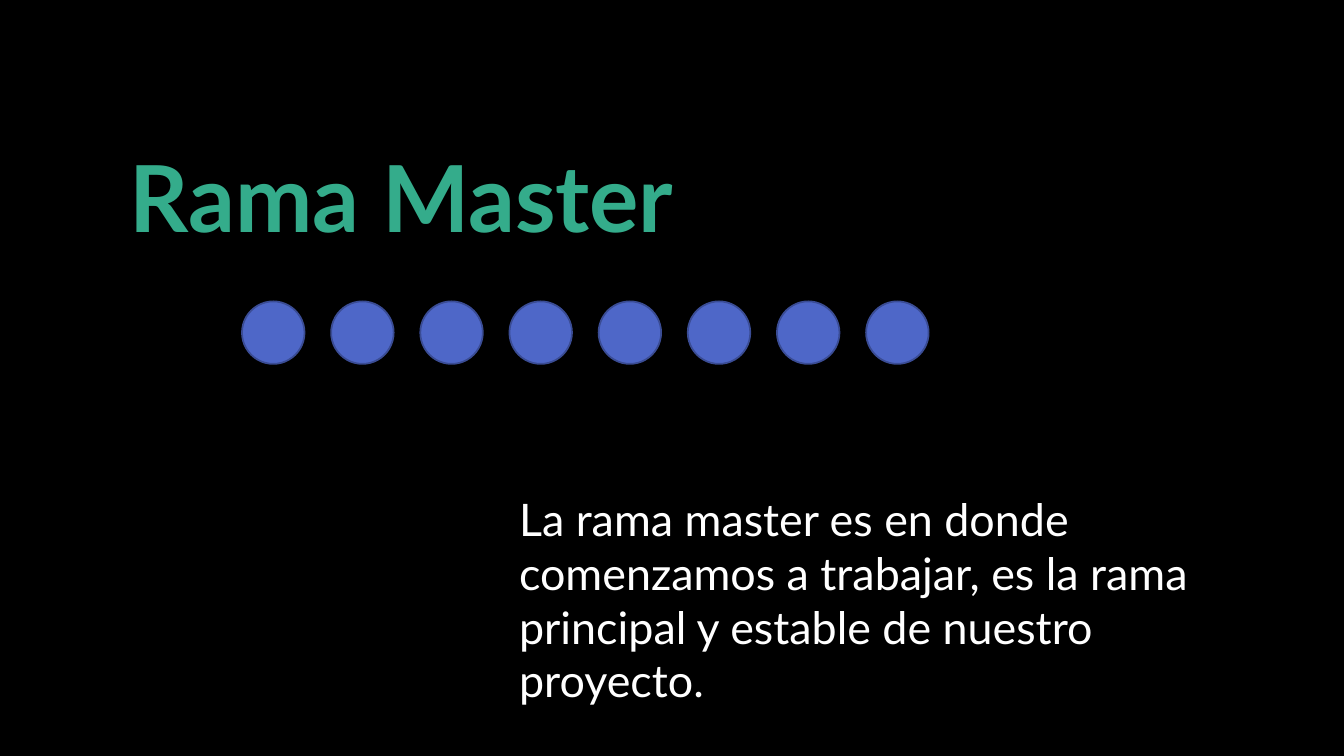
import pptx
import pptx.dml.color
import pptx.enum.shapes
import pptx.enum.text
import pptx.util
from dataclasses import dataclass

TITLE = "Rama Master"
EXPLANATION = (
    "La rama master es en donde comenzamos a trabajar, "
    "es la rama principal y estable de nuestro proyecto."
)
COMMIT_COUNT = 8

SLIDE_SIZE = (13.33, 7.5)
TITLE_AREA = (0.95, 1.34, 6.07, 1.21)
EXPLANATION_AREA = (5.05, 4.83, 7.57, 2.26)
FIRST_COMMIT, LAST_COMMIT = 2.4, 8.59
COMMIT_TOP, COMMIT_SIZE = 2.99, 0.62


@dataclass(frozen=True)
class Theme:
    font: str = "Lato"
    background: str = "000000"
    heading: str = "34AC8B"
    body: str = "FFFFFF"
    commit: str = "4E67C8"
    commit_edge: str = "3A4C94"
    heading_size: int = 66
    body_size: int = 32
    edge_width: float = 1.25


THEME = Theme()


def rgb(value):
    return pptx.dml.color.RGBColor.from_string(value)


def inches(lengths):
    return [pptx.util.Inches(length) for length in lengths]


def add_text(slide, area, words, size, color, align, bold=False):
    frame = slide.shapes.add_textbox(*inches(area)).text_frame
    frame.word_wrap = True
    frame.auto_size = pptx.enum.text.MSO_AUTO_SIZE.SHAPE_TO_FIT_TEXT
    paragraph = frame.paragraphs[0]
    paragraph.alignment = align
    run = paragraph.add_run()
    run.text = words
    run.font.name = THEME.font
    run.font.size = pptx.util.Pt(size)
    run.font.bold = bold
    run.font.color.rgb = rgb(color)


def add_commit(slide, left):
    commit = slide.shapes.add_shape(
        pptx.enum.shapes.MSO_SHAPE.FLOWCHART_CONNECTOR,
        *inches((left, COMMIT_TOP, COMMIT_SIZE, COMMIT_SIZE)),
    )
    commit.shadow.inherit = False
    commit.fill.solid()
    commit.fill.fore_color.rgb = rgb(THEME.commit)
    commit.line.color.rgb = rgb(THEME.commit_edge)
    commit.line.width = pptx.util.Pt(THEME.edge_width)


def main():
    deck = pptx.Presentation()
    deck.slide_width, deck.slide_height = inches(SLIDE_SIZE)
    slide = deck.slides.add_slide(deck.slide_layouts[6])
    slide.background.fill.solid()
    slide.background.fill.fore_color.rgb = rgb(THEME.background)

    align = pptx.enum.text.PP_ALIGN
    add_text(slide, TITLE_AREA, TITLE, THEME.heading_size, THEME.heading, align.CENTER, bold=True)
    pitch = (LAST_COMMIT - FIRST_COMMIT) / (COMMIT_COUNT - 1)
    for position in range(COMMIT_COUNT):
        add_commit(slide, FIRST_COMMIT + position * pitch)
    add_text(slide, EXPLANATION_AREA, EXPLANATION, THEME.body_size, THEME.body, align.LEFT)

    deck.save("out.pptx")


if __name__ == "__main__":
    main()
